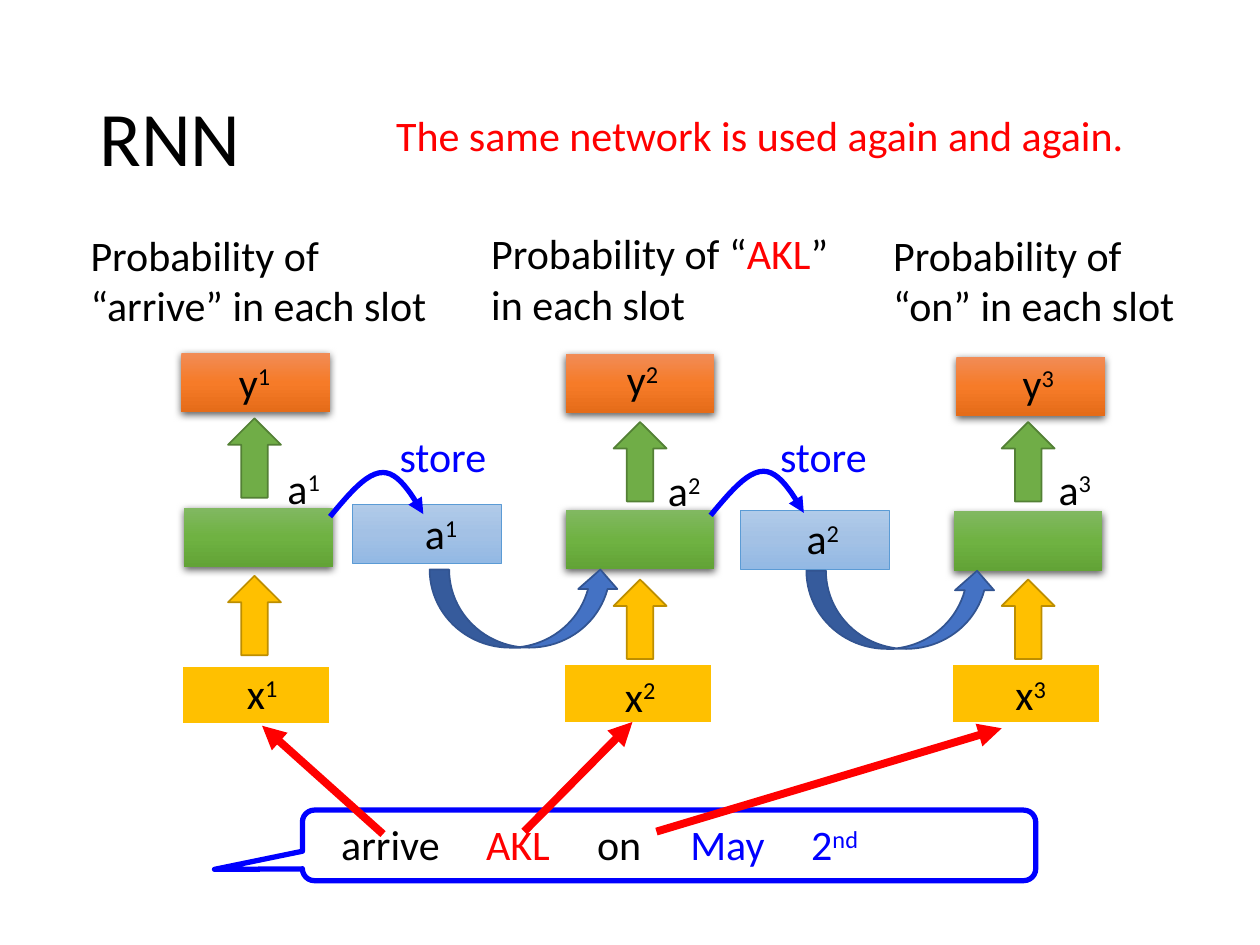
from copy import deepcopy
from lxml import etree
from pptx import Presentation, util as u
from pptx.dml.color import RGBColor
from pptx.enum import shapes, text
from pptx.oxml.ns import qn

BLACK, WHITE = RGBColor(0, 0, 0), RGBColor(255, 255, 255)
RED, BLUE = RGBColor(255, 0, 0), RGBColor(0, 0, 255)
GOLD, GOLD_EDGE = RGBColor(0xFF, 0xC0, 0x00), RGBColor(0xBD, 0x8E, 0x00)
LEAF, LEAF_EDGE = RGBColor(0x70, 0xAD, 0x47), RGBColor(0x53, 0x80, 0x35)
NAVY, NAVY_EDGE = RGBColor(0x44, 0x72, 0xC4), RGBColor(0x32, 0x54, 0x91)
SKY_EDGE = RGBColor(0x5B, 0x9B, 0xD5)
GREEN_FADE = [RGBColor.from_string(c) for c in ("81B861", "6FB242", "62A336")]
ORANGE_FADE = [RGBColor.from_string(c) for c in ("F18C57", "F67B28", "E56C19")]
SKY_FADE = [RGBColor.from_string(c) for c in ("B1CBE9", "A3C1E5", "93B9E4")]

FONT, SIZE = "Calibri", 24
BOX_W, BOX_H = 1.18, 0.47
LABEL_W, LABEL_H = 0.99, 0.5
ARROW_W, ARROW_H, ARROW_STEP = 0.42, 0.63, 1.25

# One entry per time step: (left, top) of each part; labels by (centre, top)
STEPS = [
    dict(x=(1.44, 5.28), hidden=(1.46, 4.03), y=(1.44, 2.80), arrow=(1.81, 3.32),
         x_label=(2.08, 5.25), y_label=(2.02, 2.78), a_label=(2.41, 3.62),
         caption=(0.62, 1.77, 2.95), words=[("Probability of “arrive” in each slot", BLACK)]),
    dict(x=(4.47, 5.27), hidden=(4.49, 4.05), y=(4.49, 2.81), arrow=(4.87, 3.35),
         x_label=(5.08, 5.27), y_label=(5.10, 2.76), a_label=(5.43, 3.64),
         caption=(3.80, 1.76, 2.95),
         words=[("Probability of “", BLACK), ("AKL", RED), ("” in each slot", BLACK)]),
    dict(x=(7.55, 5.27), hidden=(7.57, 4.06), y=(7.59, 2.83), arrow=(7.95, 3.35),
         x_label=(8.18, 5.26), y_label=(8.24, 2.79), a_label=(8.53, 3.63),
         caption=(6.99, 1.77, 2.55), words=[("Probability of “on” in each slot", BLACK)]),
]
# Memory cells between the steps
MEMORIES = [
    dict(box=(2.80, 4.00), label=(3.50, 3.98), store=(2.94, 3.37),
         curve=(2.62, 4.10), feed=(3.41, 4.52)),
    dict(box=(5.88, 4.05), label=(6.53, 4.02), store=(5.96, 3.37),
         curve=(5.64, 4.09), feed=(6.40, 4.53)),
]
# Two Bezier arcs of the "store" arrow, relative to its start
STORE_ARCS = [[(0, 0), (0.15, -0.18), (0.29, -0.35), (0.42, -0.35)],
              [(0.42, -0.35), (0.54, -0.35), (0.64, -0.19), (0.74, -0.02)]]
SENTENCE = [("arrive\t", BLACK), ("AKL\t", RED), ("on\t", BLACK),
            ("May\t2", BLUE), ("nd", BLUE, True)]
SENTENCE_TABS = [1.15, 2.03, 2.77, 3.73]
WORD_LINKS = [((3.04, 6.62), (2.08, 5.76)), ((4.16, 6.60), (5.02, 5.73)),
              ((5.21, 6.60), (7.95, 5.78))]

prs = Presentation()
prs.slide_width, prs.slide_height = u.Inches(10), u.Inches(7.5)
slide = prs.slides.add_slide(prs.slide_layouts[5])


def add_text(left, top, width, height, runs, align=text.PP_ALIGN.LEFT):
    """Each run is (wording, colour) or (wording, colour, superscript)."""
    box = slide.shapes.add_textbox(*map(u.Inches, (left, top, width, height)))
    box.text_frame.word_wrap = True
    paragraph = box.text_frame.paragraphs[0]
    paragraph.alignment = align
    paragraph.font.name, paragraph.font.size = FONT, u.Pt(SIZE)
    for wording, colour, *raised in runs:
        run = paragraph.add_run()
        run.text, run.font.color.rgb = wording, colour
        if raised:
            run.font._element.set("baseline", "30000")
    return paragraph


def add_label(letter, index, centre, top):
    add_text(centre - LABEL_W / 2, top, LABEL_W, LABEL_H,
             [(letter, BLACK), (str(index), BLACK, True)], text.PP_ALIGN.CENTER)


def add_shape(kind, left, top, width, height, fill=None, line=None, weight=1):
    """A list as fill makes a vertical gradient."""
    shape = slide.shapes.add_shape(kind, *map(u.Inches, (left, top, width, height)))
    shape.shadow.inherit = False
    if fill is None:
        shape.fill.background()
    elif isinstance(fill, list):
        shape.fill.gradient()
        shape.fill.gradient_angle = 270
        stops = shape._element.spPr.find(".//" + qn("a:gsLst"))
        stops.insert(1, deepcopy(stops[0]))
        for stop, position, colour in zip(shape.fill.gradient_stops, (0, 0.5, 1), fill):
            stop.position, stop.color.rgb = position, colour
    else:
        shape.fill.solid()
        shape.fill.fore_color.rgb = fill
    if line is None:
        shape.line.fill.background()
    else:
        shape.line.color.rgb, shape.line.width = line, u.Pt(weight)
    return shape


def add_box(corner, fill, line=None, weight=1):
    return add_shape(shapes.MSO_SHAPE.RECTANGLE, *corner, BOX_W, BOX_H, fill, line, weight)


def add_shadow(shape):
    effects = shape._element.spPr.find(qn("a:effectLst"))
    shadow = etree.SubElement(effects, qn("a:outerShdw"), blurRad="57150", dist="19050",
                              dir="5400000", algn="ctr", rotWithShape="0")
    colour = etree.SubElement(shadow, qn("a:srgbClr"), val="000000")
    etree.SubElement(colour, qn("a:alpha"), val="63000")


def style_arrow(arrow, colour, weight):
    arrow.line.color.rgb, arrow.line.width = colour, u.Pt(weight)
    etree.SubElement(arrow.line._get_or_add_ln(), qn("a:tailEnd"), type="triangle")


def bezier(points, t):
    weights = ((1 - t) ** 3, 3 * t * (1 - t) ** 2, 3 * t * t * (1 - t), t ** 3)
    return [sum(w * p[axis] for w, p in zip(weights, points)) for axis in (0, 1)]


def add_store_arrow(left, top):
    points = [bezier(arc, i / 12) for arc in STORE_ARCS for i in range(1, 13)]
    builder = slide.shapes.build_freeform(u.Inches(left), u.Inches(top))
    builder.add_line_segments([(u.Inches(left + x), u.Inches(top + y)) for x, y in points],
                              close=False)
    curve = builder.convert_to_shape()
    curve.fill.background()
    curve.shadow.inherit = False
    style_arrow(curve, BLUE, 3)


# Title and remark
title = slide.shapes.title
title.left, title.top, title.width, title.height = map(u.Inches, (0.69, 0.4, 8.62, 1.45))
title.text_frame.text = "RNN"
title.text_frame.vertical_anchor = text.MSO_ANCHOR.MIDDLE
heading = title.text_frame.paragraphs[0]
heading.alignment, heading.line_spacing = text.PP_ALIGN.LEFT, 0.9
heading.font.name, heading.font.size, heading.font.color.rgb = FONT, u.Pt(44), BLACK
add_text(3.04, 0.82, 5.98, LABEL_H, [("The same network is used again and again.", RED)],
         text.PP_ALIGN.CENTER)

# Network at each time step
for index, step in enumerate(STEPS, 1):
    add_box(step["x"], GOLD, WHITE, 1.5)
    add_shadow(add_box(step["hidden"], GREEN_FADE))
    add_shadow(add_box(step["y"], ORANGE_FADE))
    left, top = step["arrow"]
    for row, (fill, edge) in enumerate([(LEAF, LEAF_EDGE), (GOLD, GOLD_EDGE)]):
        add_shape(shapes.MSO_SHAPE.UP_ARROW, left, top + row * ARROW_STEP,
                  ARROW_W, ARROW_H, fill, edge)
    for letter in "xya":
        add_label(letter, index, *step[letter + "_label"])
    left, top, width = step["caption"]
    add_text(left, top, width, 0.91, step["words"])

# Stored values passed to the next step
for index, memory in enumerate(MEMORIES, 1):
    add_box(memory["box"], SKY_FADE, SKY_EDGE, 0.5)
    add_label("a", index, *memory["label"])
    add_text(*memory["store"], 1.15, LABEL_H, [("store", BLUE)], text.PP_ALIGN.CENTER)
    add_shape(shapes.MSO_SHAPE.CURVED_UP_ARROW, *memory["feed"], 1.51, 0.62, NAVY, NAVY_EDGE)
    add_store_arrow(*memory["curve"])

# Input sentence in its callout
sentence = add_text(2.61, 6.45, 5.61, LABEL_H, SENTENCE)
tabs = etree.SubElement(sentence._p.get_or_add_pPr(), qn("a:tabLst"))
sentence._p.pPr.insert(0, tabs)  # tab stops come before the default run format
for stop in SENTENCE_TABS:
    etree.SubElement(tabs, qn("a:tab"), pos=str(u.Inches(stop)), algn="l")
callout = add_shape(shapes.MSO_SHAPE.ROUNDED_RECTANGULAR_CALLOUT, 2.4, 6.43, 5.82, 0.56,
                    line=BLUE, weight=3)
for i, value in enumerate((-0.62, 0.34, 0.17)):
    callout.adjustments[i] = value

# Arrows from words to inputs
for start, end in WORD_LINKS:
    link = slide.shapes.add_connector(shapes.MSO_CONNECTOR.STRAIGHT,
                                      *map(u.Inches, start + end))
    style_arrow(link, RED, 4.5)
    etree.SubElement(link._element.spPr, qn("a:effectLst"))

prs.save("out.pptx")
